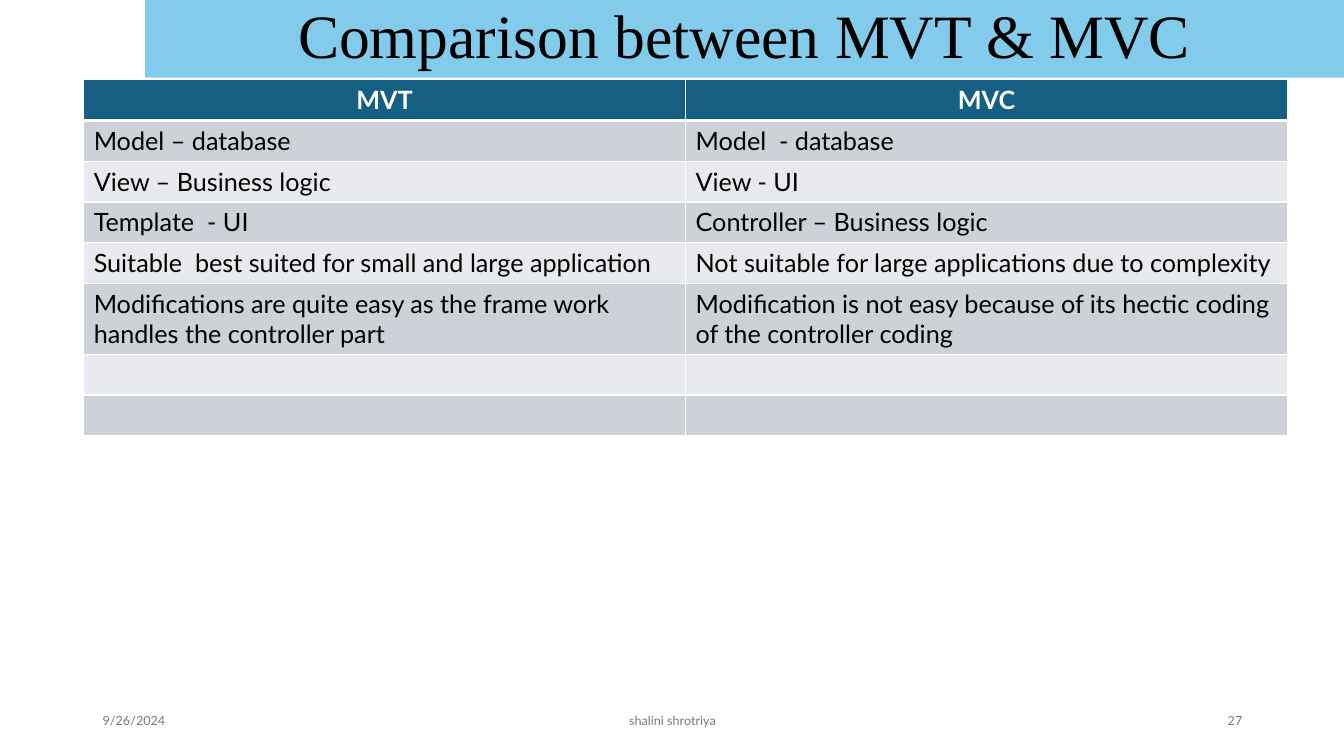
from lxml.etree import SubElement
from pptx import Presentation
from pptx.dml.color import RGBColor
from pptx.enum.shapes import MSO_SHAPE
from pptx.enum.text import MSO_ANCHOR, PP_ALIGN
from pptx.oxml.ns import qn
from pptx.util import Inches, Pt


def color(code):
    return RGBColor.from_string(code)


class Deck:
    font = "Lato"
    white, black, gray = "FFFFFF", "000000", "797979"
    sky, teal = "83CBEB", "156082"
    bands = ("CCD2D8", "E8EAED")

    def __init__(self):
        self.prs = Presentation()
        self.prs.slide_width = Inches(13.33)
        self.prs.slide_height = Inches(7.5)
        self.slide = self.prs.slides.add_slide(self.prs.slide_layouts[6])

    def put_text(self, frame, text, size, tint, align, font=None, bold=False):
        para = frame.paragraphs[0]
        para.text = text
        para.alignment = align
        para.font.name = font or self.font
        para.font.size = Pt(size)
        para.font.bold = bold
        para.font.color.rgb = color(tint)
        return para

    def title(self, text, *box):
        bar = self.slide.shapes.add_shape(MSO_SHAPE.RECTANGLE, *map(Inches, box))
        bar.shadow.inherit = False
        bar.fill.solid()
        bar.fill.fore_color.rgb = color(self.sky)
        bar.line.fill.background()
        frame = bar.text_frame
        frame.vertical_anchor = MSO_ANCHOR.MIDDLE
        para = self.put_text(frame, text, 44, self.black, PP_ALIGN.CENTER,
                             "Times New Roman")
        para.line_spacing = 0.9

    def label(self, text, left, width, align):
        box = self.slide.shapes.add_textbox(
            Inches(left), Inches(6.95), Inches(width), Inches(0.4))
        frame = box.text_frame
        frame.word_wrap = True
        frame.vertical_anchor = MSO_ANCHOR.MIDDLE
        self.put_text(frame, text, 9, self.gray, align)

    def border(self, cell, top, bottom):
        props = cell._tc.get_or_add_tcPr()
        widths = {"a:lnL": 1, "a:lnR": 1, "a:lnT": top, "a:lnB": bottom}
        for spot, (tag, width) in enumerate(widths.items()):
            line = SubElement(props, qn(tag), w=str(Pt(width)))
            fill = SubElement(line, qn("a:solidFill"))
            SubElement(fill, qn("a:srgbClr"), val=self.white)
            props.insert(spot, line)

    def table(self, rows, *box):
        grid = self.slide.shapes.add_table(
            len(rows), len(rows[0]), *map(Inches, box)).table
        for r, row in enumerate(rows):
            head = r == 0
            for c, text in enumerate(row):
                cell = grid.cell(r, c)
                cell.fill.solid()
                cell.fill.fore_color.rgb = color(
                    self.teal if head else self.bands[(r - 1) % 2])
                self.border(cell, 3 if r == 1 else 1, 3 if head else 1)
                self.put_text(cell.text_frame, text, 18,
                              self.white if head else self.black,
                              PP_ALIGN.CENTER if head else PP_ALIGN.LEFT, bold=head)


def main():
    deck = Deck()

    # Title bar
    deck.title("Comparison between MVT & MVC", 1.44, 0, 11.89, 0.77)

    # Footer
    deck.label("9/26/2024", 0.92, 3, PP_ALIGN.LEFT)
    deck.label("27", 9.42, 3, PP_ALIGN.RIGHT)
    deck.label("shalini shrotriya", 4.42, 4.5, PP_ALIGN.CENTER)

    # Comparison table, with two spare rows
    rows = [
        ("MVT", "MVC"),
        ("Model – database", "Model  - database"),
        ("View – Business logic", "View - UI"),
        ("Template  - UI", "Controller – Business logic"),
        ("Suitable  best suited for small and large application",
         "Not suitable for large applications due to complexity"),
        ("Modifications are quite easy as the frame work handles the controller part",
         "Modification is not easy because of its hectic coding  of the controller coding"),
        ("", ""),
        ("", ""),
    ]
    deck.table(rows, 0.83, 0.79, 11.94, 3.24)

    deck.prs.save("out.pptx")


if __name__ == "__main__":
    main()
